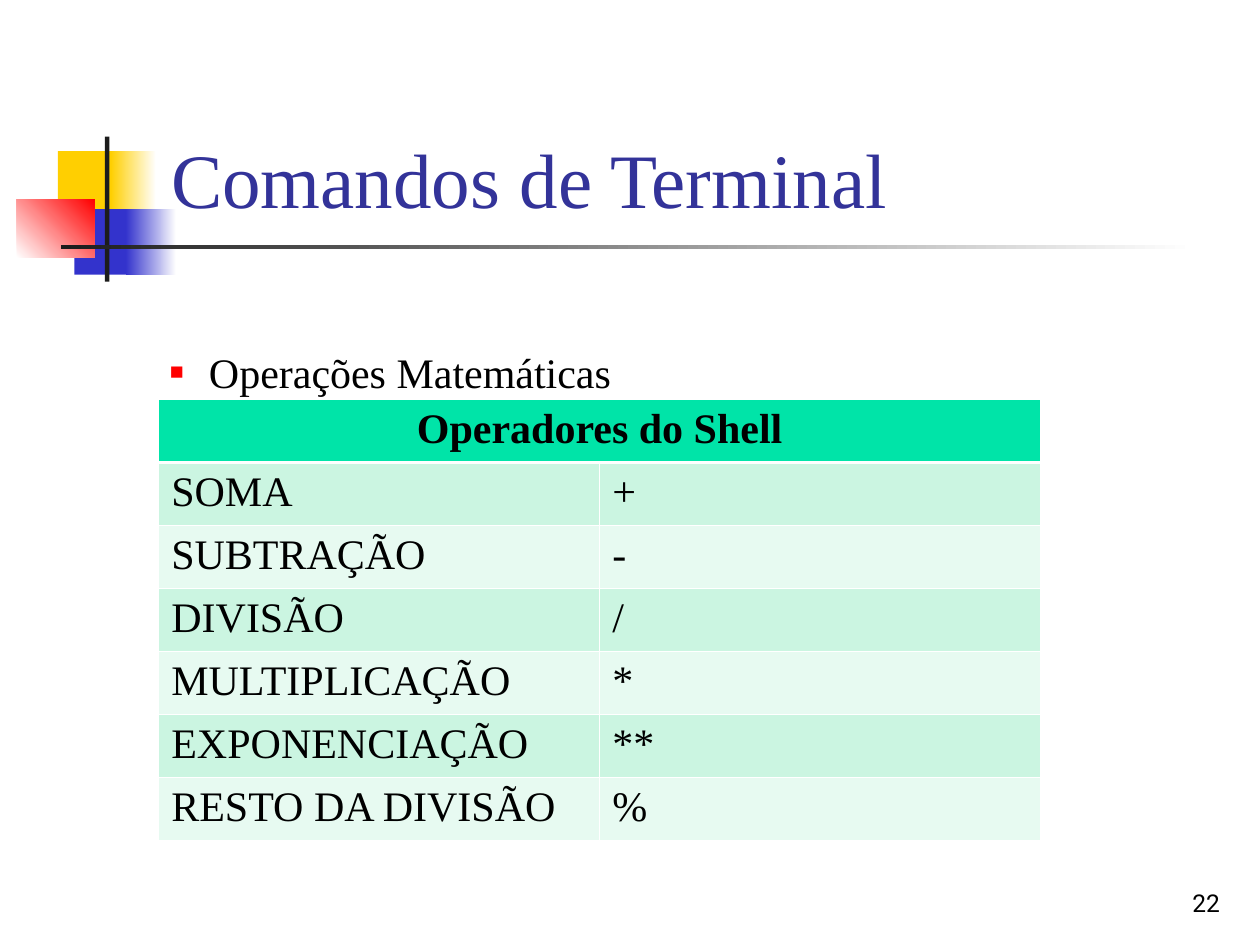
import pptx
import pptx.util
import pptx.dml.color
import pptx.enum.shapes
import pptx.enum.text
import pptx.oxml
import pptx.oxml.ns

Pt = pptx.util.Pt
Align = pptx.enum.text.PP_ALIGN
Anchor = pptx.enum.text.MSO_ANCHOR
deck = pptx.Presentation()
deck.slide_width = pptx.util.Inches(10)
deck.slide_height = pptx.util.Inches(7.5)
col = deck.slide_width / 100
row = deck.slide_height / 75
page = deck.slides.add_slide(deck.slide_layouts[6])


def tint(code):
    return pptx.dml.color.RGBColor.from_string(code)


def write(frame, text, size, face, code, bold=False, align=Align.LEFT):
    para = frame.paragraphs[0]
    para.alignment = align
    run = para.add_run()
    look = {"size": Pt(size), "name": face, "bold": bold}
    run.text = text
    for key, value in look.items():
        setattr(run.font, key, value)
    run.font.color.rgb = tint(code)
    return para


bars = [
    (4.6, 12, 4.8, 5.2, ["FFCF01"], 0),
    (8.8, 12, 3.6, 5.2, ["FFCF01", "FFFFFF"], 0),
    (5.9, 16.6, 4.6, 5.2, ["3333CC"], 0),
    (10, 16.6, 4, 5.2, ["3333CC", "FFFFFF"], 0),
    (1.35, 15.8, 6.15, 4.65, ["FFFFFF", "FF0000"], 45),
    (8.33, 10.85, 0.35, 11.5, ["1C1C1C"], 0),
    (4.85, 19.45, 90, 0.35, ["1C1C1C", "FFFFFF"], 0),
]
for x, y, wide, high, codes, turn in bars:
    bar = page.shapes.add_shape(
        pptx.enum.shapes.MSO_SHAPE.RECTANGLE,
        int(x * col), int(y * row), int(wide * col), int(high * row))
    bar.shadow.inherit = False
    bar.line.fill.background()
    if len(codes) == 1:
        bar.fill.solid()
        bar.fill.fore_color.rgb = tint(codes[0])
    else:
        bar.fill.gradient()
        bar.fill.gradient_angle = turn
        for stop, code, spot in zip(bar.fill.gradient_stops, codes, (0, 1)):
            stop.color.rgb = tint(code)
            stop.position = spot

serif = "Times New Roman"
notes = [
    (12.6, 2.3, 85.2, 16, Anchor.BOTTOM, 0.5,
     ("Comandos de Terminal", 44, serif, "333399")),
    (7.5, 21.7, 85.1, 45, Anchor.TOP, 5.8,
     ("Operações Matemáticas", 24, serif, "000000", False, Align.JUSTIFY)),
    (77, 68.3, 20.8, 5, Anchor.BOTTOM, 0.5,
     ("22", 14, "Roboto", "000000", False, Align.RIGHT)),
]
paras = []
for x, y, wide, high, hold, gap, words in notes:
    box = page.shapes.add_textbox(
        int(x * col), int(y * row), int(wide * col), int(high * row))
    form = {"word_wrap": True, "vertical_anchor": hold,
            "margin_top": int(gap * row)}
    for key, value in form.items():
        setattr(box.text_frame, key, value)
    paras.append(write(box.text_frame, *words))

item = paras[1]
item.level = 1
prop = item._p.get_or_add_pPr()
prop.set("marL", str(int(8.1 * col)))
prop.set("indent", str(int(-3.1 * col)))
space = pptx.oxml.ns.nsdecls("a")
for mark in (
    f'<a:buClr {space}><a:srgbClr val="FF0000"/></a:buClr>',
    f'<a:buSzPct {space} val="55000"/>',
    f'<a:buFont {space} typeface="Arial"/>',
    f'<a:buChar {space} char="■"/>',
):
    prop.append(pptx.oxml.parse_xml(mark))

rows = [
    ("Operadores do Shell",),
    ("SOMA", "+"),
    ("SUBTRAÇÃO", "-"),
    ("DIVISÃO", "/"),
    ("MULTIPLICAÇÃO", "*"),
    ("EXPONENCIAÇÃO", "**"),
    ("RESTO DA DIVISÃO", "%"),
]
grid = page.shapes.add_table(
    len(rows), 2, int(12.6 * col), int(31.7 * row),
    int(70 * col), int(35 * row)).table
grid.cell(0, 0).merge(grid.cell(0, 1))
for r, texts in enumerate(rows):
    head = r == 0
    for c in range(2):
        cell = grid.cell(r, c)
        cell.fill.solid()
        cell.fill.fore_color.rgb = tint(
            "00E4A8" if head else ("E7FAF1", "CBF5E1")[r % 2])
        if c < len(texts):
            write(cell.text_frame, texts[c], 24, serif, "000000", head,
                  Align.CENTER if head else Align.LEFT)
        wide = {"L": 0.45, "R": 0.45,
                "T": 1.47 if r == 1 else 0.45, "B": 1.47 if head else 0.45}
        for n, (side, size) in enumerate(wide.items()):
            cell._tc.get_or_add_tcPr().insert(n, pptx.oxml.parse_xml(
                f'<a:ln{side} {space} w="{int(Pt(size))}"><a:solidFill>'
                f'<a:srgbClr val="FFFFFF"/></a:solidFill></a:ln{side}>'))

deck.save("out.pptx")
